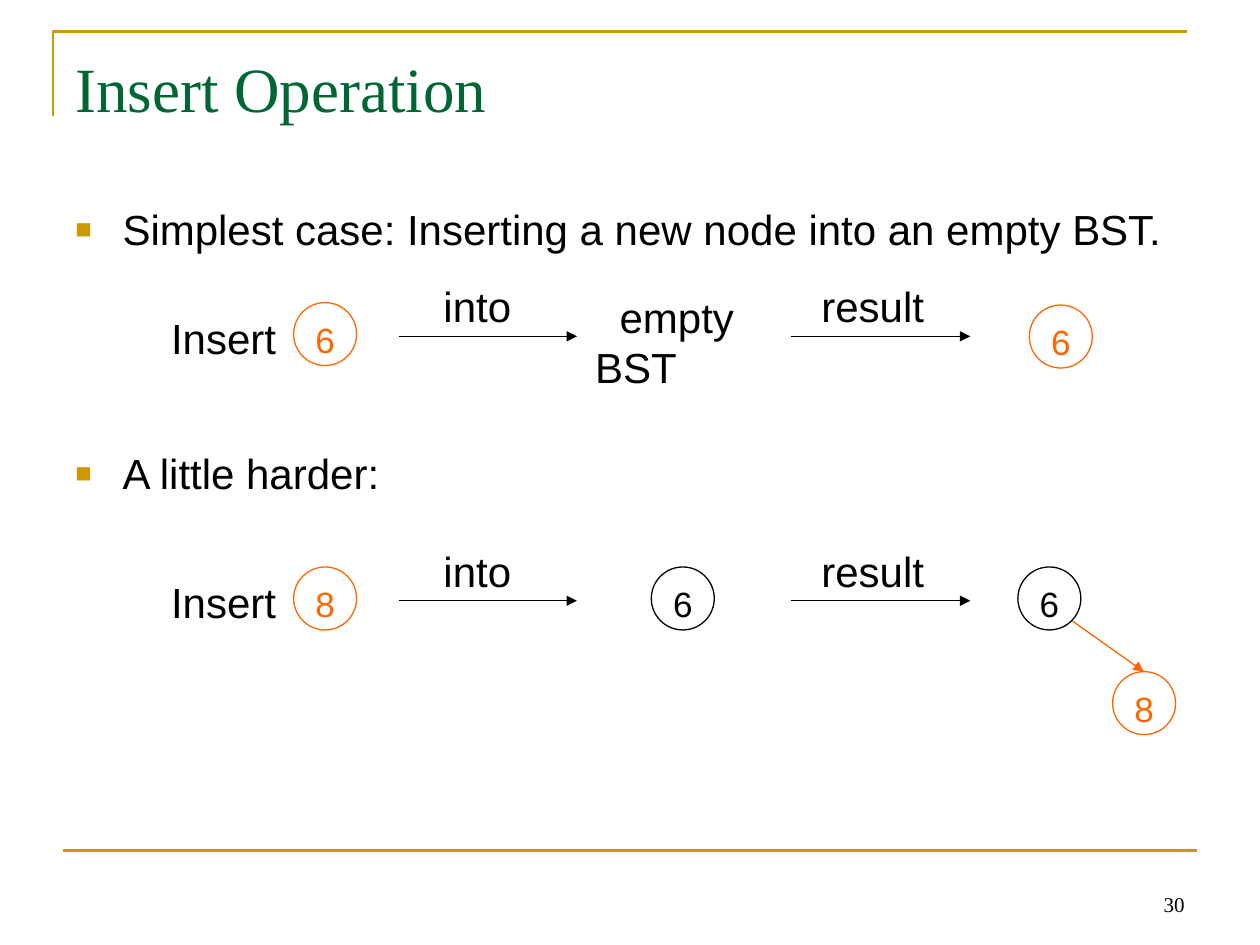
from dataclasses import dataclass

from lxml import etree
from pptx import Presentation
from pptx.dml.color import RGBColor
from pptx.enum.shapes import MSO_CONNECTOR, MSO_SHAPE
from pptx.enum.text import MSO_ANCHOR, MSO_AUTO_SIZE, PP_ALIGN
from pptx.oxml.ns import qn
from pptx.util import Cm, Pt

STRAIGHT = MSO_CONNECTOR.STRAIGHT
OVAL = MSO_SHAPE.OVAL
TOP, BOTTOM = MSO_ANCHOR.TOP, MSO_ANCHOR.BOTTOM
LEFT, CENTER, RIGHT = PP_ALIGN.LEFT, PP_ALIGN.CENTER, PP_ALIGN.RIGHT

COLORS = {"text": "000000", "new": "FF6600", "rule": "CC9900", "title": "006633"}
SANS, SERIF = "Arial", "Times New Roman"
NODE_SIZE = 1.27
ROW_STEP = 5.33
INDENT = Cm(0.95)


@dataclass
class Node:
    key: str
    x: float
    y: float
    color: str


@dataclass
class Label:
    text: str
    x: float
    y: float
    width: float


@dataclass
class Arrow:
    start: tuple[float, float]
    end: tuple[float, float]
    color: str = "text"


# Parts shared by both insertion rows, placed for the first row
ROW_LABELS = [
    Label("Insert", 3.2, 6.15, 4.27),
    Label("into", 8.69, 5.51, 3.51),
    Label("result", 16.31, 5.51, 4.22),
]
ROW_ARROWS = [Arrow((8.05, 6.78), (11.63, 6.78)), Arrow((15.95, 6.78), (19.56, 6.78))]

NODES = [
    Node("6", 5.92, 6.1, "new"),
    Node("6", 20.75, 6.15, "new"),
    Node("8", 5.92, 11.43, "new"),
    Node("6", 13.13, 11.43, "text"),
    Node("6", 20.52, 11.43, "text"),
    Node("8", 22.43, 13.54, "new"),
]
CHILD_LINK = Arrow((21.62, 12.52), (23.06, 13.54), "new")


def rgb(name: str) -> RGBColor:
    return RGBColor.from_string(COLORS[name])


def apply(target, **values) -> None:
    """Set each named attribute of target."""
    for name, value in values.items():
        setattr(target, name, value)


def write(paragraph, text: str, size: int, font: str = SANS, color: str = "text", align=LEFT) -> None:
    paragraph.text = text
    apply(paragraph, alignment=align, space_before=Pt(0), line_spacing=Pt(1.2 * size))
    apply(paragraph.font, size=Pt(size), name=font)
    paragraph.font.color.rgb = rgb(color)


def set_frame(frame, top: float = 0.15, side: float = 0.25, anchor=TOP) -> None:
    """Wrap the text and set its insets in centimetres."""
    apply(frame, word_wrap=True, auto_size=MSO_AUTO_SIZE.NONE, vertical_anchor=anchor,
          margin_left=Cm(side), margin_right=Cm(side),
          margin_top=Cm(top), margin_bottom=Cm(0.13))


def place(shape, left: float, top: float, width: float, height: float) -> None:
    apply(shape, left=Cm(left), top=Cm(top), width=Cm(width), height=Cm(height))


def add_bullet(paragraph) -> None:
    properties = paragraph._p.get_or_add_pPr()
    properties.set("marL", str(INDENT))
    properties.set("indent", str(-INDENT))
    tint = etree.SubElement(properties, qn("a:buClr"))
    etree.SubElement(tint, qn("a:srgbClr"), val=COLORS["rule"])
    etree.SubElement(properties, qn("a:buSzPct"), val="65000")
    etree.SubElement(properties, qn("a:buFont"), typeface=SANS)
    etree.SubElement(properties, qn("a:buChar"), char="■")


def add_text(slide, left: float, top: float, width: float, height: float, anchor=TOP):
    frame = slide.shapes.add_textbox(Cm(left), Cm(top), Cm(width), Cm(height)).text_frame
    set_frame(frame, anchor=anchor)
    return frame


def add_label(slide, label: Label, shift: float) -> None:
    frame = add_text(slide, label.x, label.y + shift, label.width, 1.27)
    write(frame.paragraphs[0], label.text, 24)


def add_line(slide, line: Arrow, width: float = 0.75, shift: float = 0, head: bool = True) -> None:
    (x1, y1), (x2, y2) = line.start, line.end
    connector = slide.shapes.add_connector(STRAIGHT, Cm(x1), Cm(y1 + shift), Cm(x2), Cm(y2 + shift))
    connector.line.color.rgb = rgb(line.color)
    connector.line.width = Pt(width)
    if head:
        etree.SubElement(connector.line._get_or_add_ln(), qn("a:tailEnd"), type="triangle")
    etree.SubElement(connector._element.spPr, qn("a:effectLst"))


def add_node(slide, node: Node) -> None:
    circle = slide.shapes.add_shape(OVAL, Cm(node.x), Cm(node.y), Cm(NODE_SIZE), Cm(NODE_SIZE))
    circle.shadow.inherit = False
    circle.fill.background()
    circle.line.color.rgb = rgb(node.color)
    circle.line.width = Pt(0.75)
    set_frame(circle.text_frame, top=0.13, side=0)
    write(circle.text_frame.paragraphs[0], node.key, 20, color=node.color, align=CENTER)


def add_rules(slide) -> None:
    builder = slide.shapes.build_freeform(Cm(1.07), Cm(2.34))
    builder.add_line_segments([(Cm(1.07), Cm(0.64)), (Cm(23.93), Cm(0.64))], close=False)
    corner = builder.convert_to_shape()
    corner.shadow.inherit = False
    corner.fill.background()
    corner.line.color.rgb = rgb("rule")
    corner.line.width = Pt(1.5)
    add_line(slide, Arrow((1.27, 17.15), (24.13, 17.15), "rule"), width=1.5, head=False)


def fill_placeholders(slide) -> None:
    title, body = slide.shapes.title, slide.placeholders[1]
    place(title, 1.27, 0.76, 22.86, 3.18)
    set_frame(title.text_frame, top=0.23)
    write(title.text_frame.paragraphs[0], "Insert Operation", 36, SERIF, "title")

    place(body, 1.27, 3.91, 22.86, 12.57)
    set_frame(body.text_frame, top=0.2)
    simple_case = body.text_frame.paragraphs[0]
    harder_case = body.text_frame.add_paragraph()
    cases = [(simple_case, "Simplest case: Inserting a new node into an empty BST."),
             (harder_case, "A little harder:")]
    for paragraph, text in cases:
        add_bullet(paragraph)
        write(paragraph, text, 24)
    harder_case.space_before = Pt(110.6)


def add_empty_tree(slide) -> None:
    frame = add_text(slide, 10.8, 5.72, 5.69, 2.29)
    write(frame.paragraphs[0], "empty", 24, align=CENTER)
    second_line = frame.add_paragraph()
    write(second_line, "BST", 24)
    second_line._p.get_or_add_pPr().set("marL", str(INDENT))


def main() -> None:
    deck = Presentation()
    apply(deck, slide_width=Cm(25.4), slide_height=Cm(19.05))
    slide = deck.slides.add_slide(deck.slide_layouts[1])
    add_rules(slide)
    fill_placeholders(slide)
    page_number = add_text(slide, 18.21, 17.35, 5.92, 1.27, anchor=BOTTOM)
    write(page_number.paragraphs[0], "30", 12, SERIF, align=RIGHT)

    for shift in (0, ROW_STEP):
        for label in ROW_LABELS:
            add_label(slide, label, shift)
        for arrow in ROW_ARROWS:
            add_line(slide, arrow, shift=shift)
    add_empty_tree(slide)
    for node in NODES:
        add_node(slide, node)
    add_line(slide, CHILD_LINK)
    deck.save("out.pptx")


if __name__ == "__main__":
    main()
